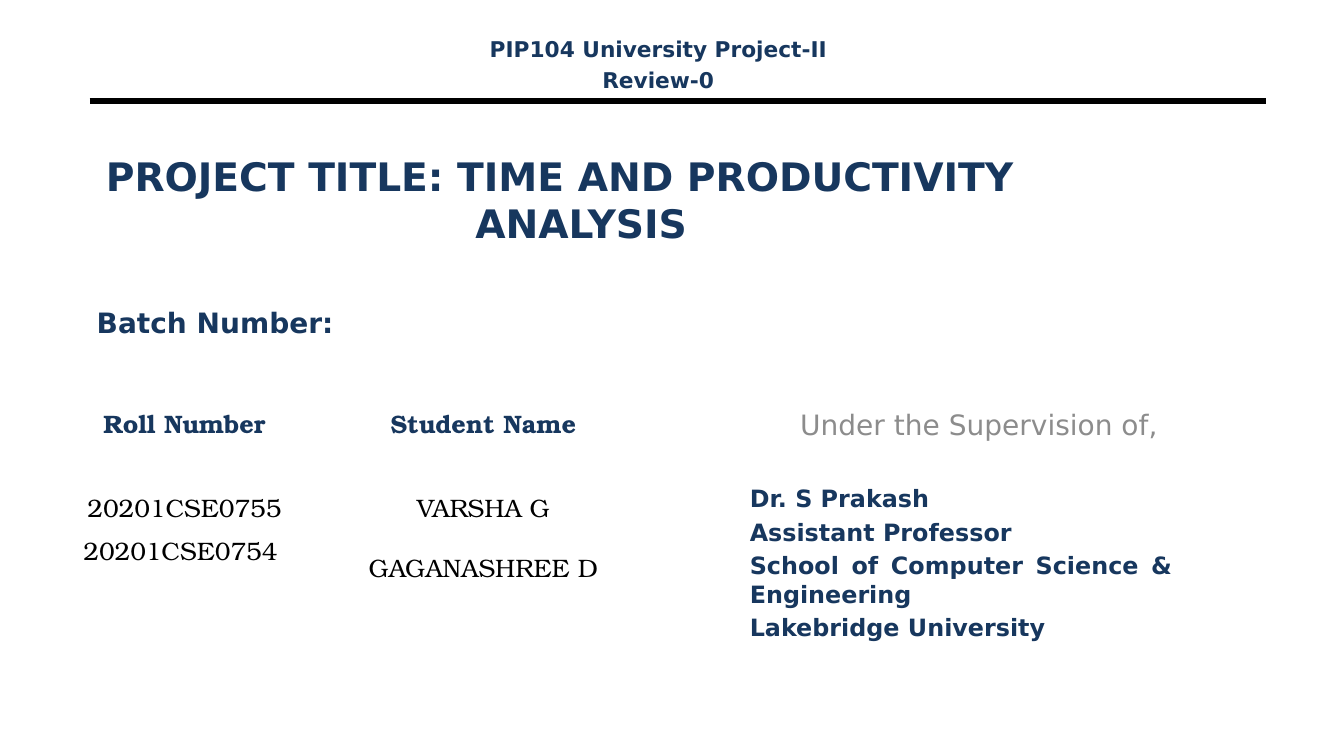
from pptx import Presentation
from pptx.dml.color import RGBColor
from pptx.enum import shapes, text
from pptx.oxml.ns import qn
from pptx.util import Pt

NAVY = RGBColor(0x17, 0x37, 0x5E)
GRAY = RGBColor(0x8C, 0x8C, 0x8C)
BLACK = RGBColor(0, 0, 0)
SANS = "DejaVu Sans"
SERIF = "TeX Gyre Bonum"
LEFT, CENTER, JUSTIFY = text.PP_ALIGN.LEFT, text.PP_ALIGN.CENTER, text.PP_ALIGN.JUSTIFY
TOP, MIDDLE, BOTTOM = text.MSO_ANCHOR.TOP, text.MSO_ANCHOR.MIDDLE, text.MSO_ANCHOR.BOTTOM


def write(paragraph, words, size, align, color=NAVY, bold=True, font=SANS, before=0, indent=0):
    paragraph.alignment = align
    paragraph.space_before = Pt(before)
    if indent:
        paragraph._p.get_or_add_pPr().set("marL", str(Pt(indent)))
    run = paragraph.add_run()
    run.text = words
    run.font.name = font
    run.font.size = Pt(size)
    run.font.bold = bold
    run.font.color.rgb = color


def add_box(left, top, width, height):
    frame = slide.shapes.add_textbox(Pt(left), Pt(top), Pt(width), Pt(height)).text_frame
    frame.word_wrap = True
    return frame


prs = Presentation()
prs.slide_width, prs.slide_height = Pt(960), Pt(540)
slide = prs.slides.add_slide(prs.slide_layouts[5])

header_rule = slide.shapes.add_connector(
    shapes.MSO_CONNECTOR.STRAIGHT, Pt(64), Pt(72), Pt(904), Pt(72))
header_rule.line.color.rgb = BLACK
header_rule.line.width = Pt(4.5)
header_rule._element.spPr.append(header_rule._element.spPr.makeelement(qn("a:effectLst"), {}))

project_title = slide.shapes.title
project_title.left, project_title.top = Pt(68.4), Pt(84.2)
project_title.width, project_title.height = Pt(815.8), Pt(116)
title_frame = project_title.text_frame
title_frame.auto_size = text.MSO_AUTO_SIZE.NONE
title_frame.vertical_anchor = MIDDLE
write(title_frame.paragraphs[0], "PROJECT TITLE: TIME AND PRODUCTIVITY", 28, LEFT)
write(title_frame.add_paragraph(), "ANALYSIS", 28, LEFT, indent=264)

batch = add_box(62, 214.6, 312.5, 43.2)
write(batch.paragraphs[0], "Batch Number:", 20, LEFT)

students = slide.shapes.add_table(6, 2, Pt(49.7), Pt(282.2), Pt(427), Pt(240)).table
students.first_row = False
students.horz_banding = False
for column, width in zip(students.columns, (164.2, 262.8)):
    column.width = Pt(width)
for row, height in zip(students.rows, (40.3, 55.4, 55.4, 29.5, 29.5, 29.5)):
    row.height = Pt(height)
    for cell in row.cells:
        cell.fill.background()

student_rows = [
    ("Roll Number", "Student Name", NAVY, True, MIDDLE, MIDDLE),
    ("20201CSE0755", "VARSHA G", BLACK, False, BOTTOM, BOTTOM),
    ("20201CSE0754", "GAGANASHREE D", BLACK, False, TOP, MIDDLE),
]
for row, (roll, name, color, bold, roll_anchor, name_anchor) in zip(students.rows, student_rows):
    for cell, words, anchor in zip(row.cells, (roll, name), (roll_anchor, name_anchor)):
        cell.vertical_anchor = anchor
        write(cell.text_frame.paragraphs[0], words, 18, CENTER, color, bold, SERIF)
students.cell(2, 0).margin_right = Pt(13)

supervision = add_box(528.5, 287.3, 316, 191.5)
write(supervision.paragraphs[0], "Under the Supervision of,", 20, JUSTIFY, GRAY, False, indent=36)
supervisor_lines = [
    ("Dr. S Prakash", 31),
    ("Assistant Professor", 3.4),
    ("School of Computer Science & Engineering", 3.4),
    ("Lakebridge University", 3.4),
]
for words, before in supervisor_lines:
    write(supervision.add_paragraph(), words, 17, JUSTIFY, before=before)

course = add_box(313.9, 22.3, 312.5, 43.2)
write(course.paragraphs[0], "PIP104 University Project-II", 15.5, CENTER)
write(course.add_paragraph(), "Review-0", 15.5, CENTER, before=3.1)

prs.save("out.pptx")
